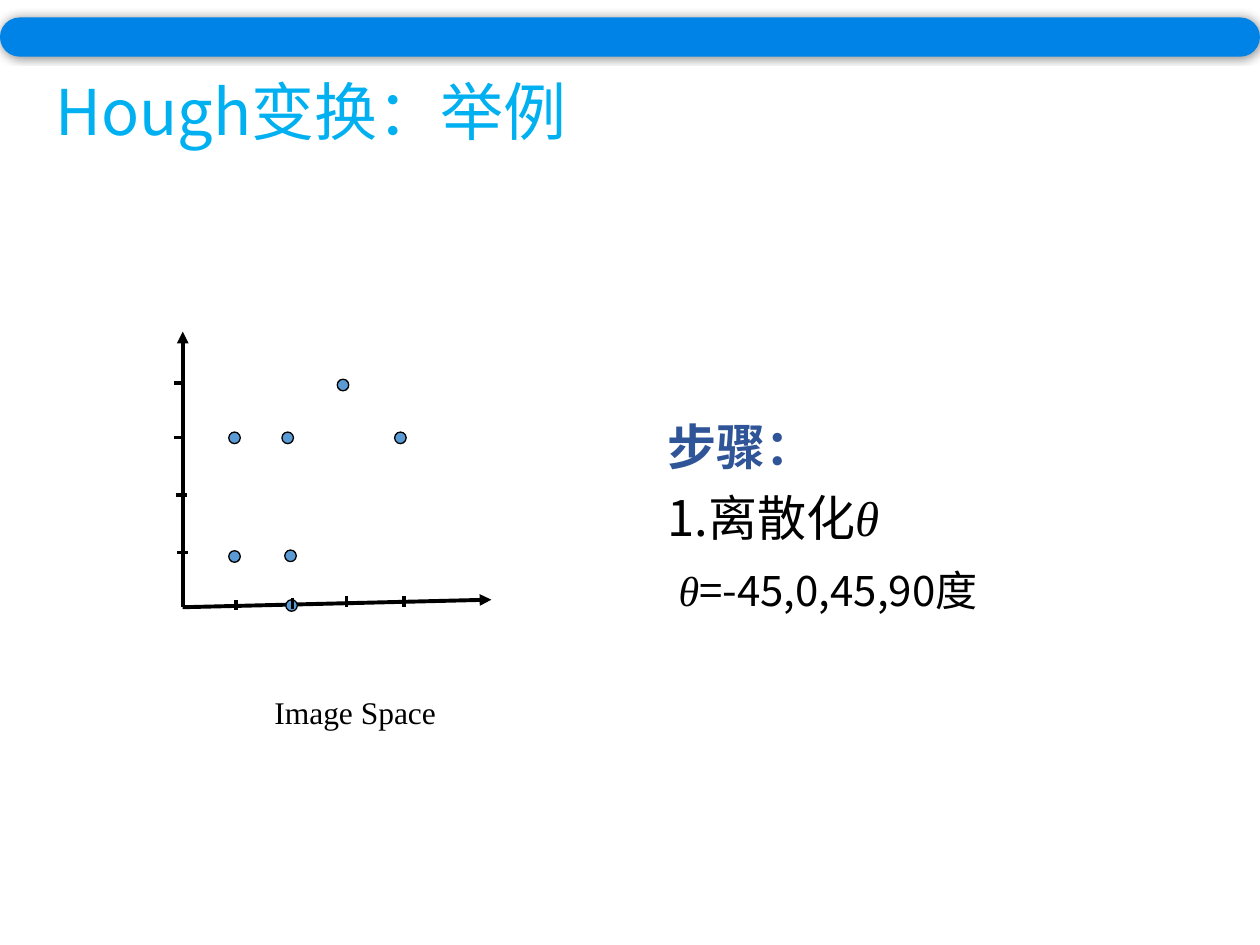
from lxml.etree import SubElement
from pptx import Presentation
from pptx.dml.color import RGBColor
from pptx.enum.shapes import MSO_CONNECTOR, MSO_SHAPE
from pptx.enum.text import MSO_ANCHOR, PP_ALIGN
from pptx.oxml import parse_xml
from pptx.oxml.ns import nsdecls, qn
from pptx.util import Pt

BLACK = RGBColor(0x00, 0x00, 0x00)
DOT = RGBColor(0x5B, 0x9B, 0xD5)
BAR = RGBColor(0x00, 0x83, 0xE6)
SKY = RGBColor(0x00, 0xB0, 0xF0)
NAVY = RGBColor(0x2F, 0x54, 0x97)
SANS = "Noto Sans CJK SC"
SERIF = "Times New Roman"

deck = Presentation()
deck.slide_width, deck.slide_height = Pt(720), Pt(540)
slide = deck.slides.add_slide(deck.slide_layouts[5])
shapes = slide.shapes


def add_run(para, text, size, font, color=BLACK, bold=False, italic=False):
    run = para.add_run()
    run.text = text
    face = run.font
    face.size, face.name, face.bold, face.italic = Pt(size), font, bold, italic
    face.color.rgb = color
    SubElement(run._r.get_or_add_rPr(), qn("a:ea")).set("typeface", font)


def add_line(x1, y1, x2, y2, width, arrow=False):
    line = shapes.add_connector(
        MSO_CONNECTOR.STRAIGHT, Pt(x1), Pt(y1), Pt(x2), Pt(y2))
    line.line.color.rgb = BLACK
    line.line.width = Pt(width)
    if arrow:
        SubElement(line.line._get_or_add_ln(), qn("a:tailEnd")).set("type", "triangle")
    SubElement(line._element.spPr, qn("a:effectLst"))


# Top bar with a soft shadow
bar = shapes.add_shape(MSO_SHAPE.ROUNDED_RECTANGLE, 0, Pt(10), Pt(720), Pt(22.4))
bar.adjustments[0] = 0.5
bar.fill.solid()
bar.fill.fore_color.rgb = BAR
bar.line.fill.background()
bar._element.spPr.append(parse_xml(
    f'<a:effectLst {nsdecls("a")}><a:outerShdw blurRad="{Pt(5)}" dist="0" dir="0">'
    '<a:srgbClr val="000000"><a:alpha val="40000"/></a:srgbClr>'
    '</a:outerShdw></a:effectLst>'))

# Title
title = shapes.title
title.left, title.top, title.width, title.height = Pt(24.5), Pt(42.5), Pt(672.5), Pt(90)
title.text_frame.vertical_anchor = MSO_ANCHOR.TOP
para = title.text_frame.paragraphs[0]
para.alignment = PP_ALIGN.LEFT
para.line_spacing = 0.9
add_run(para, "Hough变换：举例", 36, SANS, SKY)

# Axes
add_line(104.4, 347, 104.4, 189.5, 2.25, arrow=True)
add_line(104.4, 347, 280.8, 342.7, 2.25, arrow=True)

# Points of the image
for x, y in [(164.4, 250.2), (166.6, 346), (166, 317.6), (134, 250.2),
             (134, 318), (228.8, 250.2), (196, 220)]:
    dot = shapes.add_shape(MSO_SHAPE.OVAL, Pt(x - 3.3), Pt(y - 3.3), Pt(6.6), Pt(6.6))
    dot.shadow.inherit = False
    dot.fill.solid()
    dot.fill.fore_color.rgb = DOT
    dot.line.color.rgb = BLACK
    dot.line.width = Pt(0.75)

# Ticks on both axes
for x, y in [(134.8, 342.6), (167.1, 341.8), (198, 340.8), (231, 340.8)]:
    add_line(x, y, x, y + 6.2, 2)
for x, y in [(101.2, 315.8), (100.4, 283), (99.4, 250), (99.4, 219)]:
    add_line(x, y, x + 6.2, y, 2)

# Caption
label = shapes.add_textbox(Pt(143.3), Pt(392.4), Pt(119.5), Pt(31.7))
label.text_frame.word_wrap = False
para = label.text_frame.paragraphs[0]
para.alignment = PP_ALIGN.CENTER
add_run(para, "Image Space", 18, SERIF)

# Steps
steps = shapes.add_textbox(Pt(374.4), Pt(238.3), Pt(331.2), Pt(354.2))
frame = steps.text_frame
frame.word_wrap = True
rows = [
    [("步骤：", 28, SANS, NAVY, True)],
    [("1.离散化", 28, SANS), ("θ", 28, SERIF, BLACK, False, True)],
    [(" ", 28, SANS, BLACK, True, True), ("θ", 24, SERIF, BLACK, False, True),
     ("=-45,0,45,90度", 24, SANS)],
]
for i, row in enumerate(rows):
    para = frame.add_paragraph() if i else frame.paragraphs[0]
    para.line_spacing = 0.9
    if i:
        para.space_before = Pt(10)
    for part in row:
        add_run(para, *part)

deck.save("out.pptx")
